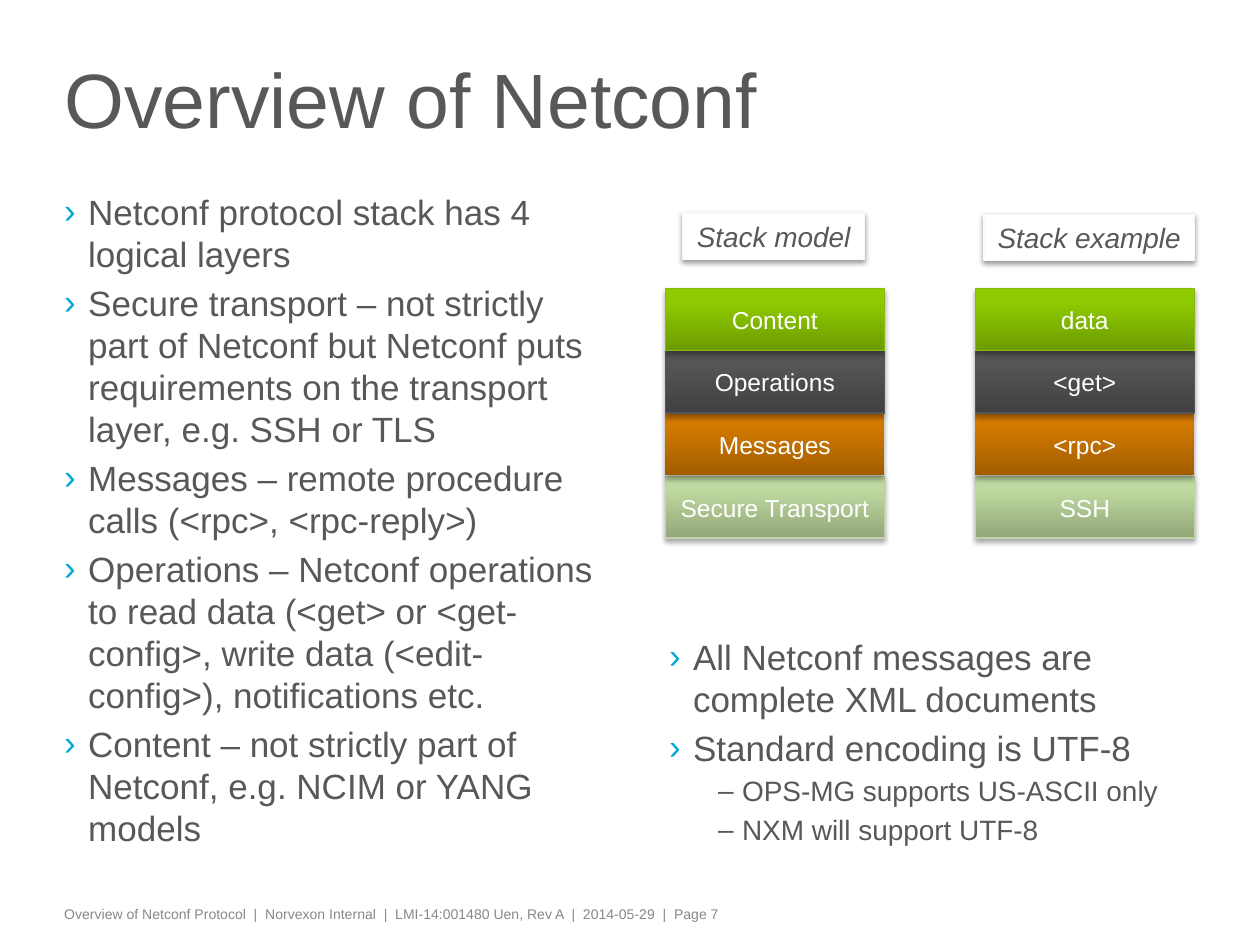
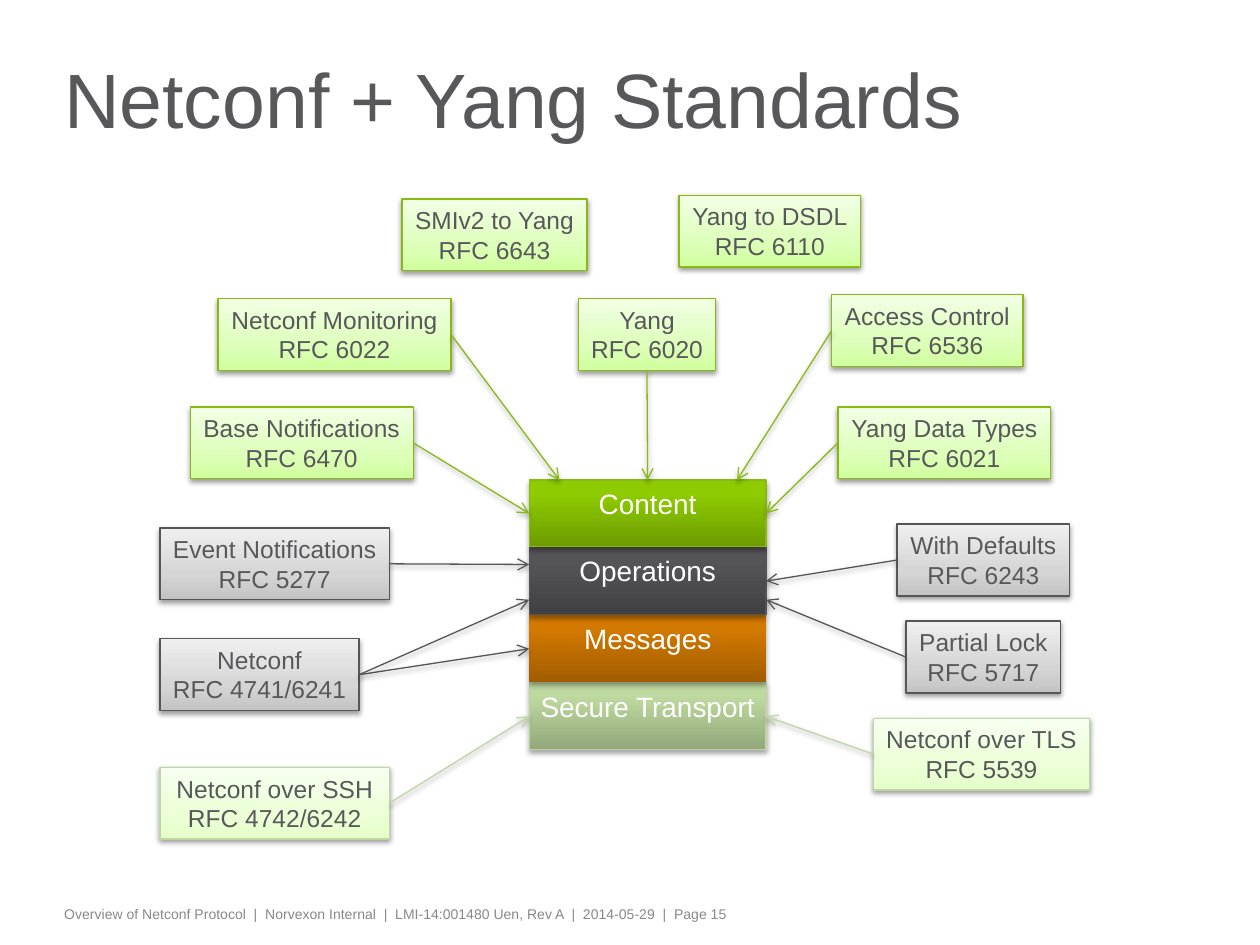
from dataclasses import dataclass
from typing import NamedTuple

from lxml.etree import SubElement
from pptx import Presentation
from pptx.dml.color import RGBColor
from pptx.enum.shapes import MSO_CONNECTOR, MSO_SHAPE
from pptx.enum.text import MSO_ANCHOR, PP_ALIGN
from pptx.oxml.ns import qn
from pptx.util import Inches, Pt

FONT = "Arial"
COLORS = {
    "text": "58585A",
    "footer": "87888A",
    "bullet": "00A9D4",
    "white": "FFFFFF",
    "label_line": "F9F9F9",
    "green": "88BA13",
    "gray": "565658",
    "pale": "C0D5A6",
    "shadow": "000000",
}
TOP, LEFT, BOTTOM, RIGHT = range(4)
OPPOSITE = {TOP: BOTTOM, LEFT: RIGHT, BOTTOM: TOP, RIGHT: LEFT}


class Tone(NamedTuple):
    stops: tuple[tuple[int, str], ...]
    line: str | None


class Shadow(NamedTuple):
    alpha: int
    blur: float
    dist: float


class Bullet(NamedTuple):
    char: str
    color: str
    size: int
    indent: float


class Item(NamedTuple):
    text: str
    level: int = 0


class Label(NamedTuple):
    text: str
    left: float
    top: float
    width: float


@dataclass(frozen=True)
class Stack:
    left: float
    top: float
    width: float
    height: float
    pitch: float
    names: tuple[str, ...]
    size: int
    anchor: MSO_ANCHOR


@dataclass(frozen=True)
class Standard:
    """A standard's box; each target is a layer name or a point on the stack."""
    name: str
    rfc: str
    left: float
    top: float
    width: float
    tone: str
    exit_side: int = RIGHT
    targets: tuple[str | tuple[float, float], ...] = ()


LAYER_SHADOW = Shadow(35, 3.1, 1.8)
BOX_SHADOW = Shadow(38, 3.1, 1.6)

LAYER_TONES = (
    Tone(((0, "6D9C00"), (80, "8ECB00"), (100, "8ECB00")), "green"),
    Tone(((0, "414143"), (80, "555557"), (100, "555558")), "gray"),
    Tone(((0, "A25D00"), (80, "D27900"), (100, "D37A00")), None),
    Tone(((0, "93A77A"), (80, "BED99F"), (100, "BFDB9F")), "pale"),
)
BOX_TONES = {
    "green": Tone(((0, "D0FF9E"), (35, "DDFFBA"), (100, "F2FFE5")), "green"),
    "gray": Tone(((0, "C3C3C4"), (35, "D5D5D6"), (100, "EFEFEF")), "gray"),
    "pale": Tone(((0, "E5FFC8"), (35, "ECFFD7"), (100, "F7FFF0")), "pale"),
}
BULLETS = (Bullet("›", "bullet", 20, 0.19), Bullet("–", "text", 16, 0.58))

LAYER_NAMES = ("Content", "Operations", "Messages", "Secure Transport")
MODEL = Stack(5.28, 2.29, 1.74, 0.49, 0.497, LAYER_NAMES, 14, MSO_ANCHOR.MIDDLE)
EXAMPLE = Stack(7.74, 2.29, 1.74, 0.49, 0.497, ("data", "<get>", "<rpc>", "SSH"),
                14, MSO_ANCHOR.MIDDLE)
STANDARDS_STACK = Stack(4.2, 3.81, 1.88, 0.53, 0.537, LAYER_NAMES, 16, MSO_ANCHOR.TOP)
STACK_LABELS = (Label("Stack model", 5.42, 1.69, 1.44),
                Label("Stack example", 7.81, 1.7, 1.67))

LAYER_NOTES = (
    Item("Netconf protocol stack has 4 logical layers"),
    Item("Secure transport – not strictly part of Netconf but Netconf puts "
         "requirements on the transport layer, e.g. SSH or TLS"),
    Item("Messages – remote procedure calls (<rpc>, <rpc-reply>)"),
    Item("Operations – Netconf operations to read data (<get> or <get-config>, "
         "write data (<edit-config>), notifications etc."),
    Item("Content – not strictly part of Netconf, e.g. NCIM or YANG models"),
)
ENCODING_NOTES = (
    Item("All Netconf messages are complete XML documents"),
    Item("Standard encoding is UTF-8"),
    Item("OPS-MG supports US-ASCII only", 1),
    Item("NXM will support UTF-8", 1),
)
STANDARDS = (
    Standard("Netconf", "4741/6241", 1.27, 5.07, 1.58, "gray", RIGHT,
             ("Messages", (4.2, 4.76))),
    Standard("Netconf over SSH", "4742/6242", 1.27, 6.09, 1.82, "pale", RIGHT,
             ("Secure Transport",)),
    Standard("Netconf over TLS", "5539", 6.93, 5.7, 1.72, "pale", LEFT,
             ("Secure Transport",)),
    Standard("Event Notifications", "5277", 1.27, 4.19, 1.82, "gray", RIGHT,
             ((4.2, 4.48),)),
    Standard("Partial Lock", "5717", 7.19, 4.93, 1.23, "gray", LEFT, ((6.08, 4.76),)),
    Standard("With Defaults", "6243", 7.12, 4.16, 1.37, "gray", LEFT, ("Operations",)),
    Standard("Yang", "6020", 4.59, 2.37, 1.09, "green", BOTTOM, ("Content",)),
    Standard("Base Notifications", "6470", 1.51, 3.23, 1.77, "green", RIGHT, ("Content",)),
    Standard("Yang Data Types", "6021", 6.65, 3.23, 1.69, "green", LEFT, ("Content",)),
    Standard("Access Control", "6536", 6.6, 2.34, 1.52, "green", LEFT, ((5.85, 3.81),)),
    Standard("Netconf Monitoring", "6022", 1.73, 2.37, 1.85, "green", RIGHT,
             ((4.44, 3.81),)),
    Standard("SMIv2 to Yang", "6643", 3.19, 1.58, 1.47, "green"),
    Standard("Yang to DSDL", "6110", 5.39, 1.55, 1.44, "green"),
)


def rgb(name: str) -> RGBColor:
    return RGBColor.from_string(COLORS[name])


def write(p, text: str, *, size: int, color: str = "text", italic: bool = False,
          align=PP_ALIGN.LEFT) -> None:
    p.alignment = align
    r = p.add_run()
    r.text = text
    r.font.name, r.font.size, r.font.italic = FONT, Pt(size), italic
    r.font.color.rgb = rgb(color)


def set_frame(tf, *, anchor=MSO_ANCHOR.TOP, side: float = 0.08, edge: float = 0,
              wrap: bool = True) -> None:
    tf.word_wrap, tf.vertical_anchor = wrap, anchor
    tf.margin_left = tf.margin_right = Inches(side)
    tf.margin_top = tf.margin_bottom = Inches(edge)


def set_shadow(sp_pr, shadow: Shadow) -> None:
    """Replace the theme effect by a soft shadow straight below."""
    for old in sp_pr.findall(qn("a:effectLst")):
        sp_pr.remove(old)
    effects = SubElement(sp_pr, qn("a:effectLst"))
    outer = SubElement(effects, qn("a:outerShdw"), blurRad=str(Pt(shadow.blur)),
                       dist=str(Pt(shadow.dist)), dir="5400000", rotWithShape="0")
    clr = SubElement(outer, qn("a:srgbClr"), val=COLORS["shadow"])
    SubElement(clr, qn("a:alpha"), val=str(shadow.alpha * 1000))


def set_gradient(fill, stops: tuple[tuple[int, str], ...]) -> None:
    """Run the stops from the bottom edge to the top."""
    fill.gradient()
    fill.gradient_angle = 90
    gs_lst = fill._xPr.find(qn("a:gradFill")).find(qn("a:gsLst"))
    for gs in list(gs_lst):
        gs_lst.remove(gs)
    for pos, color in stops:
        gs = SubElement(gs_lst, qn("a:gs"), pos=str(pos * 1000))
        SubElement(gs, qn("a:srgbClr"), val=color)


def add_box(slide, left: float, top: float, width: float, height: float,
            lines: tuple[str, ...], *, tone: Tone | None, shadow: Shadow,
            anchor=MSO_ANCHOR.TOP, side: float = 0.1, **fmt):
    """Draw a centred text box; without a tone it is a plain white label."""
    sp = slide.shapes.add_shape(MSO_SHAPE.RECTANGLE, Inches(left), Inches(top),
                                Inches(width), Inches(height))
    if tone:
        set_gradient(sp.fill, tone.stops)
    else:
        sp.fill.solid()
        sp.fill.fore_color.rgb = rgb("white")
    line = tone.line if tone else "label_line"
    if line:
        sp.line.color.rgb = rgb(line)
        sp.line.width = Pt(0.75)
    else:
        sp.line.fill.background()
    set_shadow(sp._element.spPr, shadow)
    tf = sp.text_frame
    set_frame(tf, anchor=anchor, side=side, edge=0.05, wrap=False)
    for i, text in enumerate(lines):
        p = tf.add_paragraph() if i else tf.paragraphs[0]
        write(p, text, align=PP_ALIGN.CENTER, **fmt)
    return sp


def add_stack(slide, stack: Stack) -> dict:
    """Draw the layers from the bottom up and return them by name."""
    layers = {}
    for i, name in reversed(list(enumerate(stack.names))):
        layers[name] = add_box(
            slide, stack.left, stack.top + i * stack.pitch, stack.width, stack.height,
            (name,), tone=LAYER_TONES[i], shadow=LAYER_SHADOW, anchor=stack.anchor,
            side=0.08, size=stack.size, color="white")
    return layers


def add_bullets(slide, left: float, top: float, width: float, height: float,
                items: tuple[Item, ...]) -> None:
    tf = slide.shapes.add_textbox(Inches(left), Inches(top), Inches(width),
                                  Inches(height)).text_frame
    set_frame(tf)
    for i, item in enumerate(items):
        bullet = BULLETS[item.level]
        p = tf.add_paragraph() if i else tf.paragraphs[0]
        write(p, item.text, size=bullet.size)
        p.level = item.level
        p.space_before = Pt(0.2 * bullet.size)
        p_pr = p._p.get_or_add_pPr()
        p_pr.set("marL", str(Inches(bullet.indent)))
        p_pr.set("indent", str(Inches(-0.19)))
        SubElement(SubElement(p_pr, qn("a:buClr")), qn("a:srgbClr"),
                   val=COLORS[bullet.color])
        SubElement(p_pr, qn("a:buFont"), typeface=FONT)
        SubElement(p_pr, qn("a:buChar"), char=bullet.char)


def add_arrow(slide, box, exit_side: int, target, color: str) -> None:
    """Lead an arrow from a box to a layer's facing side or to a point."""
    is_point = isinstance(target, tuple)
    x, y = (Inches(v) for v in target) if is_point else (0, 0)
    cxn = slide.shapes.add_connector(MSO_CONNECTOR.STRAIGHT, 0, 0, x, y)
    cxn.begin_connect(box, exit_side)
    if not is_point:
        cxn.end_connect(target, OPPOSITE[exit_side])
    cxn.line.color.rgb = rgb(color)
    cxn.line.width = Pt(0.75)
    SubElement(cxn.line._get_or_add_ln(), qn("a:tailEnd"), type="arrow")
    set_shadow(cxn._element.spPr, BOX_SHADOW)


def add_standard(slide, std: Standard, layers: dict) -> None:
    box = add_box(slide, std.left, std.top, std.width, 0.57,
                  (std.name, f"RFC {std.rfc}"), tone=BOX_TONES[std.tone],
                  shadow=BOX_SHADOW, size=14)
    for target in std.targets:
        end = layers[target] if isinstance(target, str) else target
        add_arrow(slide, box, std.exit_side, end, std.tone)


def new_slide(prs, title: str, page: int):
    slide = prs.slides.add_slide(prs.slide_layouts[5])
    sp = slide.shapes.title
    sp.left, sp.top, sp.width, sp.height = (Inches(v) for v in (0.43, 0.26, 8.2, 1.19))
    set_frame(sp.text_frame, anchor=MSO_ANCHOR.MIDDLE)
    p = sp.text_frame.paragraphs[0]
    write(p, title, size=44)
    p.line_spacing = 0.75

    footer = slide.shapes.add_textbox(Inches(0.43), Inches(7.14), Inches(8.09),
                                      Inches(0.24)).text_frame
    set_frame(footer, edge=0.05)
    write(footer.paragraphs[0],
          "Overview of Netconf Protocol  |  Norvexon Internal  |  "
          f"LMI-14:001480 Uen, Rev A  |  2014-05-29  |  Page {page}",
          size=8, color="footer")
    return slide


def build_overview(prs) -> None:
    slide = new_slide(prs, "Overview of Netconf", 7)
    add_bullets(slide, 0.43, 1.51, 4.48, 5.46, LAYER_NOTES)
    for stack, label in zip((MODEL, EXAMPLE), STACK_LABELS):
        add_stack(slide, stack)
        add_box(slide, label.left, label.top, label.width, 0.37, (label.text,),
                tone=None, shadow=BOX_SHADOW, anchor=MSO_ANCHOR.MIDDLE,
                size=16, italic=True)
    add_bullets(slide, 5.23, 5.04, 4.48, 1.96, ENCODING_NOTES)


def build_standards(prs) -> None:
    slide = new_slide(prs, "Netconf + Yang Standards", 15)
    layers = add_stack(slide, STANDARDS_STACK)
    for std in STANDARDS:
        add_standard(slide, std, layers)


def main() -> None:
    prs = Presentation()
    prs.slide_width, prs.slide_height = Inches(10), Inches(7.5)
    build_overview(prs)
    build_standards(prs)
    prs.save("out.pptx")


if __name__ == "__main__":
    main()
